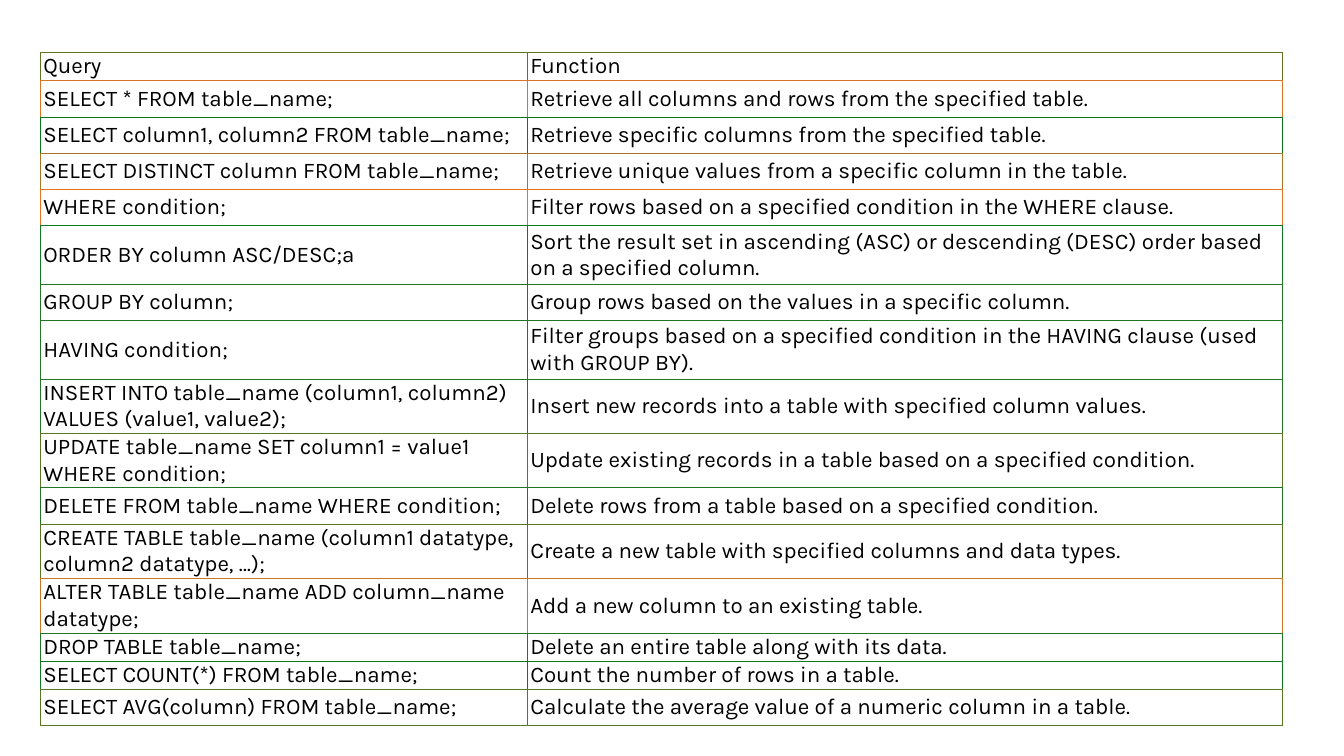
from lxml.etree import SubElement as Sub
from pptx import Presentation as Deck
from pptx.dml.color import RGBColor as Rgb
from pptx.enum.text import MSO_ANCHOR as Anchor
from pptx.oxml.ns import qn
from pptx.util import Inches, Pt

# Slide grid: columns and rows of a hundredth of an inch
COLS, ROWS = 1333, 750
HEAD, SLIM, LINE, PAIR, TALL = 15, 25, 36, 47, 58

# Height, edge colour, query, function
DATA = [
    (HEAD, "607523", "Query", "Function"),
    (LINE, "D87523", "SELECT * FROM table_name;",
     "Retrieve all columns and rows from the specified table."),
    (LINE, "087623", "SELECT column1, column2 FROM table_name;",
     "Retrieve specific columns from the specified table."),
    (LINE, "A87523", "SELECT DISTINCT column FROM table_name;",
     "Retrieve unique values from a specific column in the table."),
    (LINE, "E87423", "WHERE condition;",
     "Filter rows based on a specified condition in the WHERE clause."),
    (TALL, "107723", "ORDER BY column ASC/DESC;a",
     "Sort the result set in ascending (ASC) or descending (DESC) order "
     "based on a specified column."),
    (LINE, "207623", "GROUP BY column;",
     "Group rows based on the values in a specific column."),
    (TALL, "207623", "HAVING condition;",
     "Filter groups based on a specified condition in the HAVING clause "
     "(used with GROUP BY)."),
    (PAIR, "207623",
     "INSERT INTO table_name (column1, column2) VALUES (value1, value2);",
     "Insert new records into a table with specified column values."),
    (PAIR, "587723", "UPDATE table_name SET column1 = value1 WHERE condition;",
     "Update existing records in a table based on a specified condition."),
    (LINE, "207623", "DELETE FROM table_name WHERE condition;",
     "Delete rows from a table based on a specified condition."),
    (PAIR, "587723",
     "CREATE TABLE table_name (column1 datatype, column2 datatype, …);",
     "Create a new table with specified columns and data types."),
    (PAIR, "C87623", "ALTER TABLE table_name ADD column_name datatype;",
     "Add a new column to an existing table."),
    (SLIM, "207623", "DROP TABLE table_name;",
     "Delete an entire table along with its data."),
    (SLIM, "107723", "SELECT COUNT(*) FROM table_name;",
     "Count the number of rows in a table."),
    (LINE, "587723", "SELECT AVG(column) FROM table_name;",
     "Calculate the average value of a numeric column in a table."),
]


def grid(n):
    return Inches(n / 100)


def tint(code):
    return Rgb.from_string(code)


class Page:
    font, size, ink, back = "Karla", Pt(16), "000000", "FFFFFF"
    edge, side, rim = Pt(0.5), grid(3), grid(1)

    def __init__(self, deck):
        self.slide = deck.slides.add_slide(deck.slide_layouts[6])

    def line(self, cell, tag, code):
        ln = Sub(cell._tc.get_or_add_tcPr(), qn("a:" + tag), w=str(self.edge))
        fill = Sub(ln, qn("a:solidFill"))
        Sub(fill, qn("a:srgbClr"), val=code)

    def cell(self, cell, text, edge, base):
        # Borders come before the fill in the cell's XML
        for tag, code in zip(("lnL", "lnR", "lnT", "lnB"),
                             (edge, edge, edge, base)):
            self.line(cell, tag, code)
        cell.fill.solid()
        cell.fill.fore_color.rgb = tint(self.back)
        cell.margin_left = cell.margin_right = self.side
        cell.margin_top = cell.margin_bottom = self.rim
        cell.vertical_anchor = Anchor.MIDDLE
        cell.text = text
        font = cell.text_frame.paragraphs[0].font
        font.name, font.size = self.font, self.size
        font.color.rgb = tint(self.ink)

    def table(self, left, top, wide, data):
        high = sum(row[0] for row in data)
        table = self.slide.shapes.add_table(
            len(data), len(wide), grid(left), grid(top),
            grid(sum(wide)), grid(high)).table
        table.first_row = table.horz_banding = False
        for col, width in zip(table.columns, wide):
            col.width = grid(width)
        # The lower edge takes the next row's colour
        edges = [row[1] for row in data]
        bases = edges[1:] + edges[-1:]
        for row, (tall, edge, *texts), base in zip(table.rows, data, bases):
            row.height = grid(tall)
            for cell, text in zip(row.cells, texts):
                self.cell(cell, text, edge, base)


def main():
    deck = Deck()
    deck.slide_width, deck.slide_height = grid(COLS), grid(ROWS)

    # Table of queries
    Page(deck).table(40, 52, (483, 749), DATA)
    deck.save("out.pptx")


if __name__ == "__main__":
    main()
